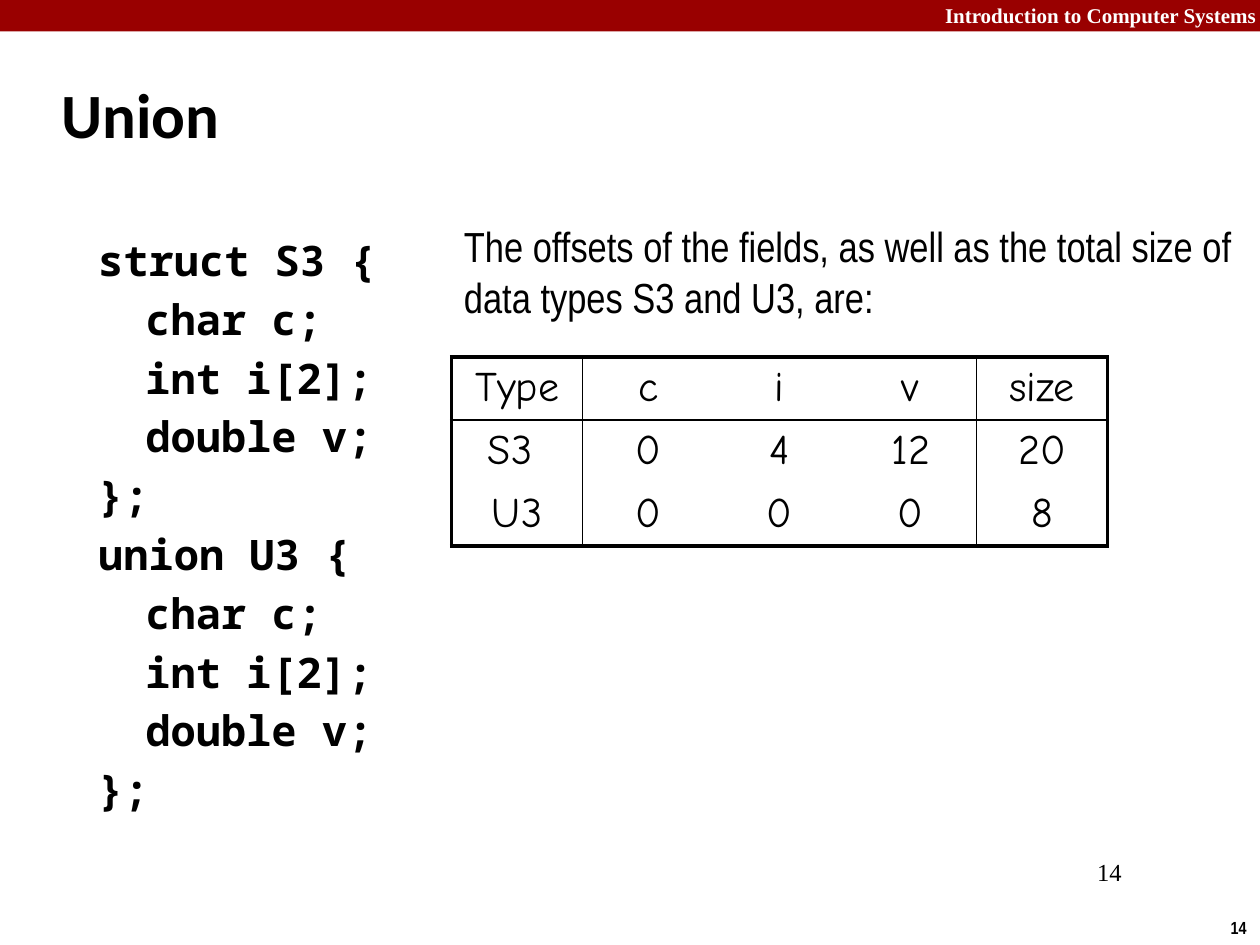
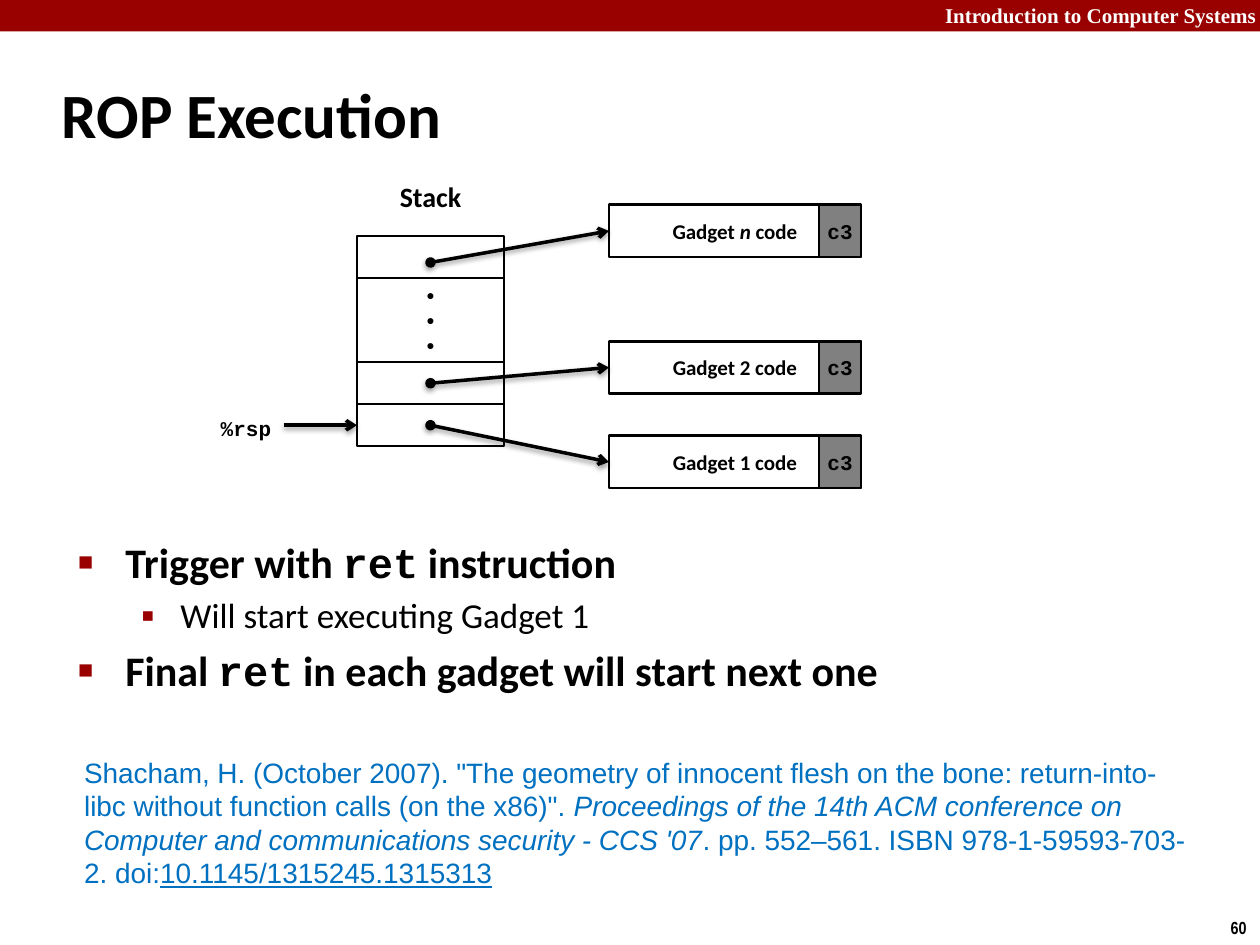
import pptx
import pptx.util
import pptx.dml.color
import pptx.enum.shapes
import pptx.enum.text
import pptx.oxml
import pptx.oxml.ns
from lxml import etree

Pt = pptx.util.Pt
RGB = pptx.dml.color.RGBColor
ALIGN = pptx.enum.text.PP_ALIGN
ANCHOR = pptx.enum.text.MSO_ANCHOR
FIT = pptx.enum.text.MSO_AUTO_SIZE
RECT = pptx.enum.shapes.MSO_SHAPE.RECTANGLE
STRAIGHT = pptx.enum.shapes.MSO_CONNECTOR.STRAIGHT

RED = RGB(0x99, 0x00, 0x00)
BLACK = RGB(0, 0, 0)
WHITE = RGB(255, 255, 255)
GRAY = RGB(0x80, 0x80, 0x80)
BLUE = RGB(0x00, 0x70, 0xC0)


def style(name, size, bold=False, color=BLACK, **more):
    return dict(name=name, size=Pt(size), bold=bold, color=color, **more)


TITLE = style("Calibri", 36, True)
COURSE = style("Times New Roman", 12, True, WHITE)
FOOT = style("Arial Narrow", 10, True)
NUMBER = style("Times New Roman", 14)
CODE = style("Noto Sans Mono", 24, True)
PROSE = style("Arial Narrow", 24)
CELL = style("Comic Neue", 24)
POINT = style("Calibri", 24, True)
MONO = POINT | {"name": "Courier New"}
SUB = style("Calibri", 20)
HEAD = style("Calibri", 16, True)
LABEL = style("Calibri", 12, True)
OPCODE = style("Courier New", 12, True)
DOT = style("Arial", 12, True)
CITE = style("Arial", 16, color=BLUE)


def put(obj, values):
    for key, value in values.items():
        if key == "color":
            obj.color.rgb = value
        else:
            setattr(obj, key, value)


def node(parent, tag, **attrs):
    """Append a drawing element with the given attributes."""
    child = etree.SubElement(parent, pptx.oxml.ns.qn("a:" + tag))
    for key, value in attrs.items():
        child.set(key, str(value))
    return child


def tint(parent, color=BLACK):
    return node(node(parent, "solidFill"), "srgbClr", val=color)


def indent(para, left, first):
    props = para._p.get_or_add_pPr()
    props.set("marL", str(Pt(left)))
    props.set("indent", str(Pt(first)))
    return props


def write(frame, paras, look, align=ALIGN.LEFT, before=0):
    """Fill a frame; a paragraph is a string or a list of (text, look) runs."""
    for i, runs in enumerate(paras):
        para = frame.paragraphs[0] if i == 0 else frame.add_paragraph()
        put(para, {"alignment": align, "space_before": Pt(before)})
        for text, font in [(runs, look)] if isinstance(runs, str) else runs:
            run = para.add_run()
            run.text = text
            put(run.font, font)
    return frame


def label(slide, box, paras, look, align=ALIGN.LEFT, before=0, **frame):
    area = slide.shapes.add_textbox(*map(Pt, box)).text_frame
    put(area, {"word_wrap": True} | frame)
    return write(area, paras, look, align, before)


def rect(slide, box, fill=None, line=1):
    shape = slide.shapes.add_shape(RECT, *map(Pt, box))
    shape.shadow.inherit = False
    if fill is None:
        shape.fill.background()
    else:
        shape.fill.solid()
        shape.fill.fore_color.rgb = fill
    if line:
        shape.line.color.rgb = BLACK
        shape.line.width = Pt(line)
    else:
        shape.line.fill.background()
    return shape


def arrow(slide, start, target, dot=True):
    """Shadowed arrow from a point to the left side of a rectangle."""
    x, y = map(Pt, start)
    link = slide.shapes.add_connector(STRAIGHT, x, y, x, y)
    link.end_connect(target, 1)
    link.line.color.rgb = BLACK
    link.line.width = Pt(2)
    props = link._element.spPr
    line = link.line._get_or_add_ln()
    if dot:
        node(line, "headEnd", type="oval")
    node(line, "tailEnd", type="arrow")
    shade = node(node(props, "effectLst"), "outerShdw", blurRad=Pt(3.1),
                 dist=Pt(1.6), dir=5400000, rotWithShape=0)
    node(node(shade, "srgbClr", val=BLACK), "alpha", val=38000)


def base(deck, title, number):
    """Add a slide with the red band, title and page number."""
    slide = deck.slides.add_slide(deck.slide_layouts[5])
    rect(slide, (0, 0, 720, 18), RED, 0)
    label(slide, (432, -2, 293, 22), ["Introduction to Computer Systems"],
          COURSE, ALIGN.RIGHT)
    label(slide, (695.5, 520.5, 24.5, 19.5), [number], FOOT, ALIGN.CENTER,
          word_wrap=False)
    head = slide.shapes.title
    put(head, dict(left=Pt(28), top=Pt(34.5), width=Pt(598), height=Pt(60)))
    put(head.text_frame, {"auto_size": FIT.NONE, "word_wrap": True,
                          "vertical_anchor": ANCHOR.MIDDLE})
    write(head.text_frame, [title], TITLE)
    indent(head.text_frame.paragraphs[0], 9.4, -9.4)
    return slide


def listing(slide, box):
    fields = ["char c;", "int i[2];", "double v;"]
    lines = ["struct S3 {", *fields, "};", "union U3 {", *fields, "};"]
    frame = label(slide, box, lines, CODE, before=4.8)
    for para, text in zip(frame.paragraphs, lines):
        indent(para, 27 if text in fields else 0, 0)


def edge(props, side, width):
    line = node(props, "ln" + side, w=Pt(width))
    if width:
        tint(line)
    else:
        node(line, "noFill")


def offsets(slide, box):
    data = [["Type", "c", "i", "v", "size"],
            ["S3 ", "0", "4", "12", "20"],
            ["U3", "0", "0", "0", "8"]]
    rows, cols = len(data), len(data[0])
    table = slide.shapes.add_table(rows, cols, *map(Pt, box)).table
    put(table, {"first_row": False, "horz_banding": False})
    across = [2.25, 1, 0, 0, 1, 2.25]
    down = [2.25, 1, 0, 2.25]
    for r, row in enumerate(data):
        for c, text in enumerate(row):
            cell = table.cell(r, c)
            write(cell.text_frame, [text], CELL, ALIGN.CENTER)
            props = cell._tc.get_or_add_tcPr()
            for side, width in zip("LRTB", (across[c], across[c + 1],
                                            down[r], down[r + 1])):
                edge(props, side, width)
            cell.fill.background()


def gadget(slide, x, y, name):
    """Draw one code box ending in its return opcode."""
    code = rect(slide, (x + 120, y, 24, 30), GRAY)
    put(code.text_frame, {"margin_left": 0, "margin_right": 0})
    write(code.text_frame, ["c3"], OPCODE, ALIGN.CENTER)
    body = rect(slide, (x, y, 144, 30), line=1.5)
    runs = [("Gadget ", LABEL), (name, LABEL | {"italic": name == "n"}),
            (" code", LABEL)]
    write(body.text_frame, [runs], LABEL, ALIGN.CENTER)
    return body


def stack(slide, x, y):
    wide, unit = 84, 24
    label(slide, (x, y - 36, wide, 26.5), ["Stack"], HEAD, ALIGN.CENTER)
    cells = [rect(slide, (x, y + unit * at, wide, unit * tall))
             for at, tall in ((0, 1), (1, 2), (3, 1), (4, 1))]
    dots = cells[1].text_frame
    put(dots, {"margin_top": 0, "margin_bottom": 0, "word_wrap": False,
               "vertical_anchor": ANCHOR.MIDDLE})
    write(dots, ["•"] * 3, DOT, ALIGN.CENTER)
    for name, top, dot in (("1", 114, 108), ("2", 60, 84), ("n", -18, 15)):
        body = gadget(slide, x + 144, y + top, name)
        arrow(slide, (x + wide / 2, y + dot), body)
    label(slide, (x - 126, y + 97.5, 84, 24), ["%rsp"], OPCODE, ALIGN.RIGHT,
          vertical_anchor=ANCHOR.MIDDLE)
    arrow(slide, (x - 42, y + 108), cells[-1], dot=False)


def bullets(slide, box):
    paras = [[("Trigger with ", POINT), ("ret", MONO), (" instruction", POINT)],
             [("Will start executing Gadget 1", SUB)],
             [("Final ", POINT), ("ret", MONO),
              (" in each gadget will start next one", POINT)]]
    frame = label(slide, box, paras, POINT, before=4.8)
    main, inner = (27, -27, 60, "■"), (58.5, -22.5, 110, "▪")
    for para, (left, first, size, mark) in zip(frame.paragraphs,
                                               (main, inner, main)):
        props = indent(para, left, first)
        node(node(props, "buClr"), "srgbClr", val=RED)
        node(props, "buSzPct", val=size * 1000)
        node(props, "buFont", typeface="Arial")
        node(props, "buChar", char=mark)
    frame.paragraphs[1].space_before = Pt(4)


def source(slide, box):
    runs = [
        ('Shacham, H. (October 2007). "The geometry of innocent flesh on the '
         'bone: return-into-libc without function calls (on the x86)". ', CITE),
        ("Proceedings of the 14th ACM conference on Computer and "
         "communications security - CCS '07", CITE | {"italic": True}),
        (". pp. 552–561. ISBN 978-1-59593-703-2. doi:", CITE),
        ("10.1145/1315245.1315313", CITE | {"underline": True})]
    label(slide, box, [runs], CITE)


def main():
    deck = pptx.Presentation()
    put(deck, {"slide_width": Pt(720), "slide_height": Pt(540)})

    union = base(deck, "Union", "14")
    label(union, (546, 486, 102, 36), ["14"], NUMBER, ALIGN.RIGHT)
    listing(union, (49, 130.5, 622, 392))
    offsets(union, (258, 204, 375, 90))
    label(union, (258, 122.5, 474, 65.5),
          ["The offsets of the fields, as well as the total size of data "
           "types S3 and U3, are:"], PROSE, before=4.8)

    rop = base(deck, "ROP Execution", "60")
    bullets(rop, (37.5, 303, 622, 127))
    stack(rop, 204, 135)
    source(rop, (41, 428, 648, 85))

    deck.save("out.pptx")


if __name__ == "__main__":
    main()
